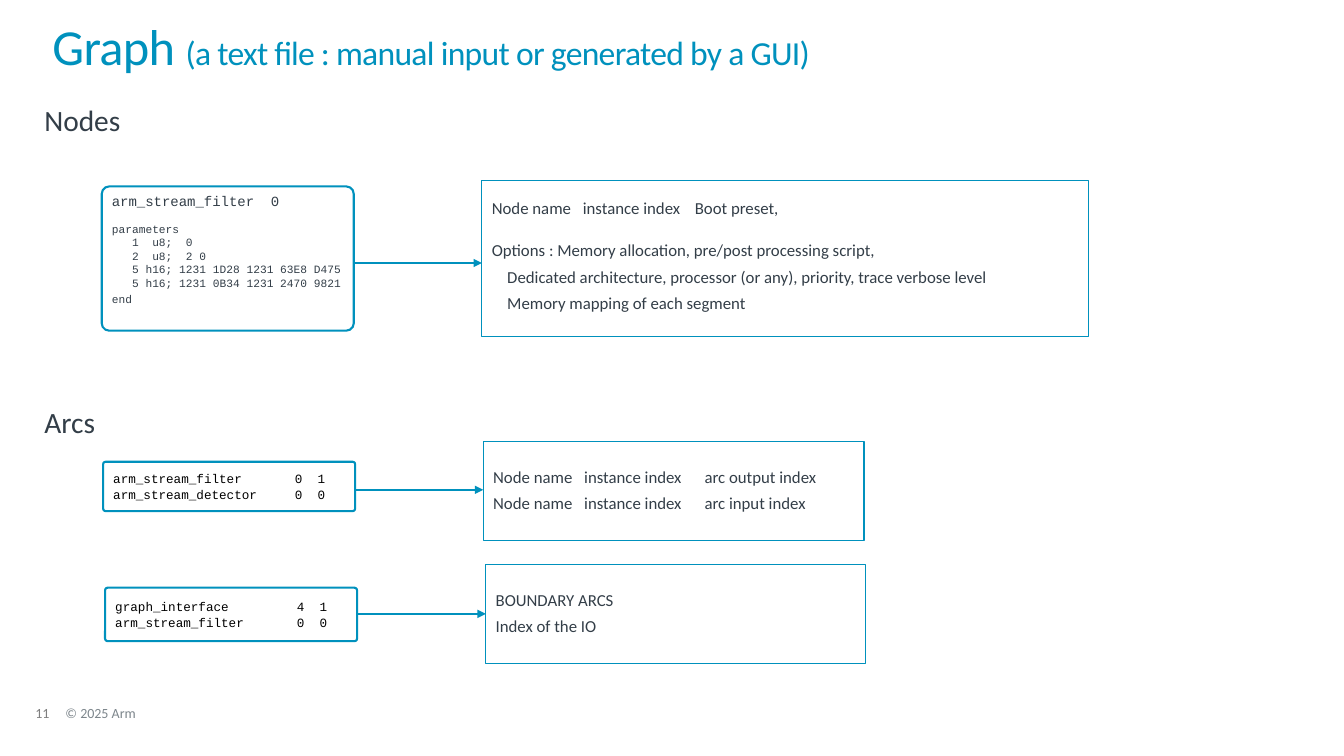
"""Build the slide that explains the nodes and arcs of a graph text file."""
import pptx
import pptx.dml.color
import pptx.enum.shapes
import pptx.enum.text
import pptx.oxml.ns
import pptx.util
import lxml.etree

Pt = pptx.util.Pt
ACCENT, INK, BLACK = "0091BD", "333E48", "000000"
TOP = pptx.enum.text.MSO_ANCHOR.TOP
MIDDLE = pptx.enum.text.MSO_ANCHOR.MIDDLE
LEFT = pptx.enum.text.PP_ALIGN.LEFT


def color(value):
    return pptx.dml.color.RGBColor.from_string(value)


def write(frame, lines, size, ink, face="Calibri", inset=(0, 0), anchor=TOP,
          wrap=True, spacing=0.9, after=6, tabs=()):
    """Fill a frame with (text, paragraph values, left indent, size) lines."""
    layout = {"margin_left": Pt(inset[0]), "margin_top": Pt(inset[1]), "margin_right": 0,
              "margin_bottom": 0, "vertical_anchor": anchor, "word_wrap": wrap}
    for name, value in layout.items():
        setattr(frame, name, value)
    for index, (text, before, indent, own_size) in enumerate(lines):
        paragraph = frame.paragraphs[0] if index == 0 else frame.add_paragraph()
        properties = paragraph._p.get_or_add_pPr()
        values = {"alignment": LEFT, "line_spacing": spacing,
                  "space_before": Pt(before), "space_after": Pt(after)}
        for name, value in values.items():
            setattr(paragraph, name, value)
        if indent:
            properties.set("marL", str(Pt(indent)))
        if tabs:
            stops = lxml.etree.SubElement(properties, pptx.oxml.ns.qn("a:tabLst"))
            for stop in tabs:
                lxml.etree.SubElement(stops, pptx.oxml.ns.qn("a:tab"), pos=str(Pt(stop)), algn="l")
        run = paragraph.add_run()
        run.text = text
        for name, value in {"name": face, "size": Pt(own_size or size)}.items():
            setattr(run.font, name, value)
        run.font.color.rgb = color(ink)


deck = pptx.Presentation()
deck.slide_width, deck.slide_height = Pt(960), Pt(540)
slide = deck.slides.add_slide(deck.slide_layouts[6])
shapes = slide.shapes

title = shapes.add_textbox(Pt(37.5), Pt(17.3), Pt(884), Pt(52)).text_frame
write(title, [("Graph ", 0, 0, None)], 36, ACCENT, spacing=0.85, after=0)
subtitle = title.paragraphs[0].add_run()
subtitle.text = "(a text file : manual input or generated by a GUI)"
subtitle.font.name, subtitle.font.size = "Calibri", Pt(24)
subtitle.font.color.rgb = color(ACCENT)
for part in title.paragraphs[0].runs:
    part._r.get_or_add_rPr().set("spc", "-50")

labels = [
    ("Nodes", 31.7, 75.6, 202, 23, 21, INK),
    ("Arcs", 31.7, 291.6, 202, 23, 21, INK),
    ("11", 25.2, 504.7, 24, 11, 10, "7F7F7F"),
    ("© 2025 Arm", 46.8, 504.7, 365, 11, 10, "7D868C"),
]
for text, left, top, width, height, size, ink in labels:
    label = shapes.add_textbox(Pt(left), Pt(top), Pt(width), Pt(height))
    write(label.text_frame, [(text, 0, 0, None)], size, ink)

node_code = [
    ("arm_stream_filter  0", 0, 0, 10),
    ("parameters", 9, 0, None),
    ("   1  u8;  0", 0, 0, None),
    ("   2  u8;  2 0", 0, 0, None),
    ("   5 h16; 1231 1D28 1231 63E8 D475", 0, 0, None),
    ("   5 h16; 1231 0B34 1231 2470 9821", 0, 0, None),
    ("end", 2, 0, None),
]
arc_code = [
    ("arm_stream_filter       0  1", 0, 0, None),
    ("arm_stream_detector     0  0", 0, 0, None),
]
boundary_code = [
    ("graph_interface         4  1", 0, 0, None),
    ("arm_stream_filter       0  0", 0, 0, None),
]
node_meaning = [
    ("Node name\tinstance index\tBoot preset,", 0, 0, None),
    ("Options : Memory allocation, pre/post processing script,", 11.5, 0, None),
    ("Dedicated architecture, processor (or any), priority, trace verbose level", 0, 11, None),
    ("Memory mapping of each segment", 0, 11, None),
]
arc_meaning = [
    ("Node name\tinstance index\tarc output index", 0, 0, None),
    ("Node name\tinstance index\tarc input index", 0, 0, None),
]
boundary_meaning = [("BOUNDARY ARCS", 0, 0, None), ("Index of the IO", 0, 0, None)]

code_style = {"face": "Courier New", "wrap": False, "spacing": 1.0, "after": 0}
node_style = {"size": 8, "ink": INK, "inset": (5.7, 3), **code_style}
arc_style = {"size": 9, "ink": BLACK, "inset": (6.7, 0), "anchor": MIDDLE, **code_style}
rows = [
    (node_code, node_style, (72.7, 133.2, 180, 103), 187.9,
     node_meaning, (344.2, 128.9, 433.4, 111.6), 13.7, (65, 145)),
    (arc_code, arc_style, (73.7, 329.8, 180, 35.3), 349.9,
     arc_meaning, (345.2, 315.4, 272, 70.6), 19.5, (65, 151)),
    (boundary_code, arc_style, (75.1, 419.8, 180, 38.2), 438.5,
     boundary_meaning, (347, 403.2, 271, 70.6), 19.5, ()),
]
geometry = pptx.enum.shapes.MSO_SHAPE
for code, style, code_box, arrow_y, meaning, meaning_box, top_inset, tabs in rows:
    listing = shapes.add_shape(geometry.ROUNDED_RECTANGLE, *map(Pt, code_box))
    listing.adjustments[0] = 0.051
    write(listing.text_frame, code, **style)
    explanation = shapes.add_shape(geometry.RECTANGLE, *map(Pt, meaning_box))
    write(explanation.text_frame, meaning, 12, INK, inset=(7.2, top_inset), tabs=tabs)
    for box, weight in ((listing, 1.5), (explanation, 0.75)):
        box.shadow.inherit = False
        box.fill.background()
        box.line.color.rgb = color(ACCENT)
        box.line.width = Pt(weight)

    arrow = shapes.add_connector(
        pptx.enum.shapes.MSO_CONNECTOR.STRAIGHT,
        Pt(code_box[0] + code_box[2]), Pt(arrow_y), Pt(meaning_box[0]), Pt(arrow_y))
    arrow.line.color.rgb = color(ACCENT)
    arrow.line.width = Pt(1)
    lxml.etree.SubElement(arrow.line._get_or_add_ln(), pptx.oxml.ns.qn("a:tailEnd"), type="triangle")
    lxml.etree.SubElement(arrow._element.spPr, pptx.oxml.ns.qn("a:effectLst"))

deck.save("out.pptx")
